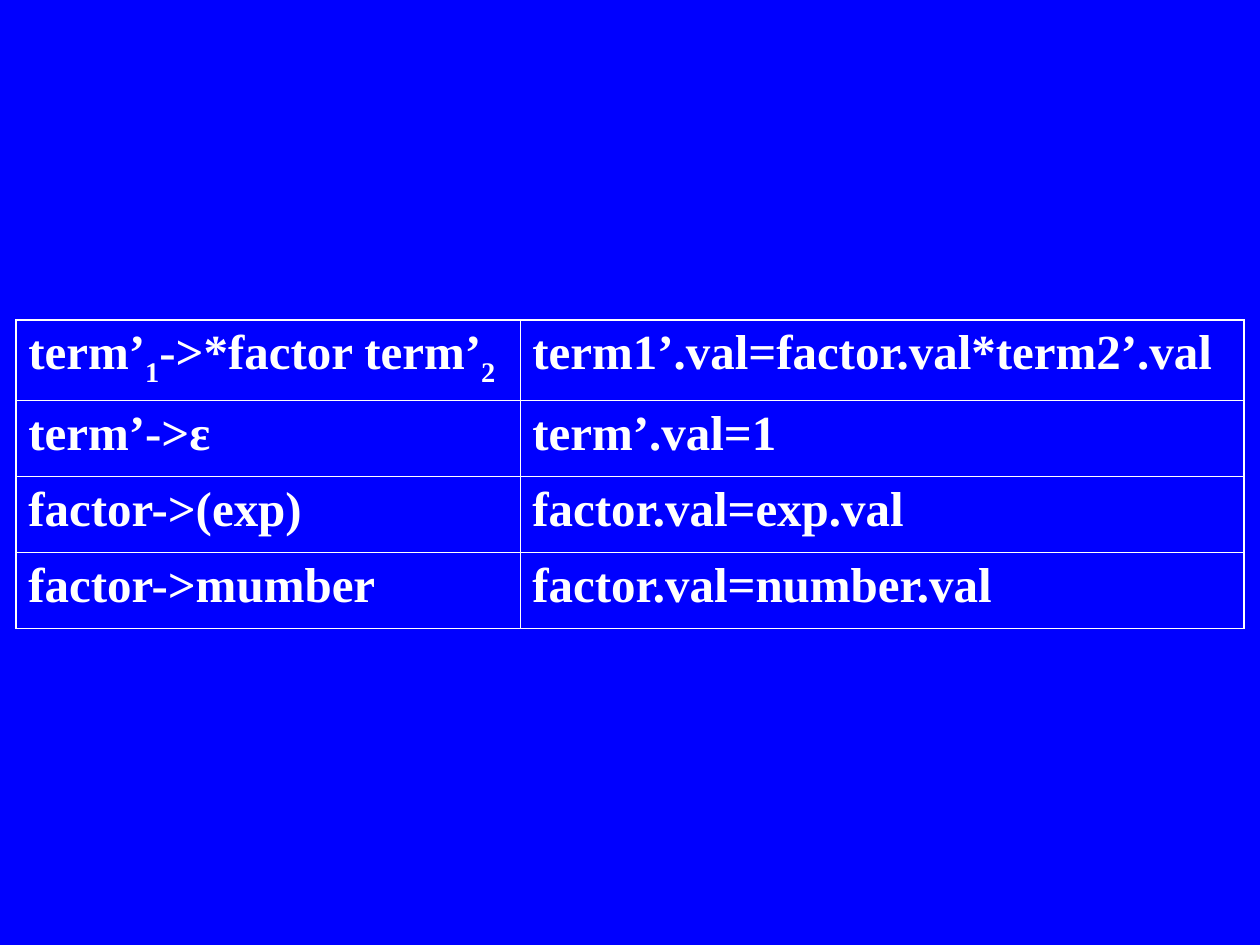
from lxml.etree import SubElement
from pptx import Presentation
from pptx.dml.color import RGBColor
from pptx.oxml.ns import qn
from pptx.util import Cm, Pt

BLUE = RGBColor(0x00, 0x00, 0xFF)
WHITE = RGBColor(0xFF, 0xFF, 0xFF)
FONT = "Times New Roman"
OUTER_LINE, INNER_LINE = Pt(1.08), Pt(0.45)
COLUMN_WIDTHS = [Cm(10.16), Cm(14.6)]
ROW_HEIGHTS = [Cm(1.63)] + [Cm(1.53)] * 3
SUBSCRIPT = "-25000"

RULES = [
    ([("term’", False), ("1", True), ("->*factor term’", False), ("2", True)],
     [("term1’.val=factor.val*term2’.val", False)]),
    ([("term’->ε", False)], [("term’.val=1", False)]),
    ([("factor->(exp)", False)], [("factor.val=exp.val", False)]),
    ([("factor->mumber", False)], [("factor.val=number.val", False)]),
]


def set_borders(cell, outer_sides):
    """Draw four white borders, heavier on the outer sides of the table."""
    properties = cell._tc.get_or_add_tcPr()
    for side in "LRTB":
        width = OUTER_LINE if side in outer_sides else INNER_LINE
        line = SubElement(properties, qn(f"a:ln{side}"), w=str(int(width)))
        fill = SubElement(line, qn("a:solidFill"))
        SubElement(fill, qn("a:srgbClr"), val=str(WHITE))


def write_cell(cell, pieces):
    """Write the text pieces of a cell, lowering the subscripts."""
    paragraph = cell.text_frame.paragraphs[0]
    paragraph.space_before = Pt(7)
    for text, is_subscript in pieces:
        run = paragraph.add_run()
        run.text = text
        run.font.name = FONT
        run.font.size = Pt(28)
        run.font.bold = True
        run.font.color.rgb = WHITE
        if is_subscript:
            run._r.get_or_add_rPr().set("baseline", SUBSCRIPT)


def add_rule_table(slide, left, top):
    """Place the table of grammar rules and semantic rules."""
    row_count, column_count = len(RULES), len(COLUMN_WIDTHS)
    table = slide.shapes.add_table(row_count, column_count, left, top,
                                   sum(COLUMN_WIDTHS), sum(ROW_HEIGHTS)).table
    table.first_row = table.horz_banding = False
    for column, width in zip(table.columns, COLUMN_WIDTHS):
        column.width = width
    for row, height in zip(table.rows, ROW_HEIGHTS):
        row.height = height
    for row_index, rule in enumerate(RULES):
        for column_index, pieces in enumerate(rule):
            cell = table.cell(row_index, column_index)
            edges = {"L": column_index == 0, "R": column_index == column_count - 1,
                     "T": row_index == 0, "B": row_index == row_count - 1}
            set_borders(cell, [side for side, is_outer in edges.items() if is_outer])
            cell.fill.background()
            write_cell(cell, pieces)


def main():
    """Build and save the slide."""
    presentation = Presentation()
    presentation.slide_width, presentation.slide_height = Cm(25.4), Cm(19.05)
    slide = presentation.slides.add_slide(presentation.slide_layouts[6])
    slide.background.fill.solid()
    slide.background.fill.fore_color.rgb = BLUE
    add_rule_table(slide, Cm(0.32), Cm(6.45))
    presentation.save("out.pptx")


if __name__ == "__main__":
    main()
